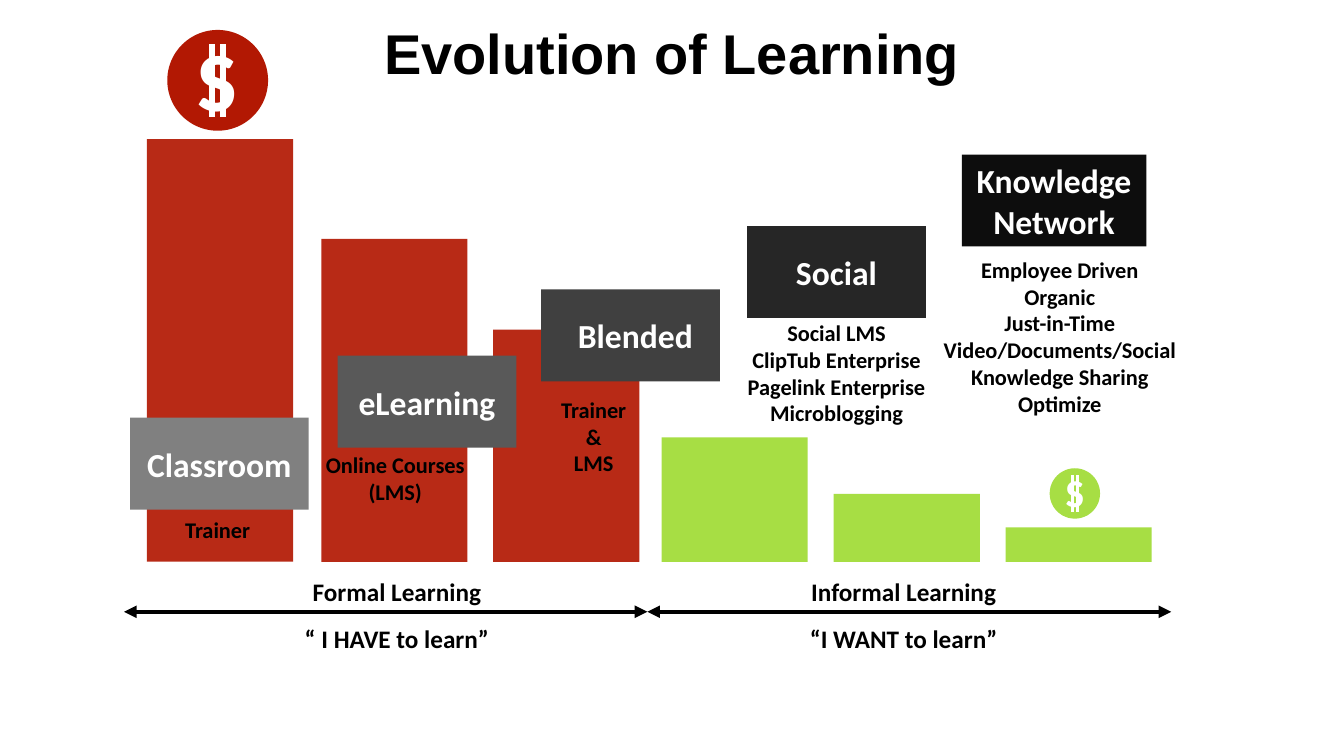
from dataclasses import dataclass

from lxml import etree
from pptx import Presentation
from pptx.dml.color import RGBColor
from pptx.enum.shapes import MSO_CONNECTOR, MSO_SHAPE
from pptx.enum.text import MSO_ANCHOR, PP_ALIGN
from pptx.oxml.ns import qn
from pptx.util import Pt

RECTANGLE, OVAL = MSO_SHAPE.RECTANGLE, MSO_SHAPE.OVAL
STRAIGHT = MSO_CONNECTOR.STRAIGHT
CENTER, MIDDLE = PP_ALIGN.CENTER, MSO_ANCHOR.MIDDLE


@dataclass(frozen=True)
class Theme:
    heading_font: str = "Arial"
    body_font: str = "Calibri"
    black: str = "000000"
    white: str = "FFFFFF"
    red: str = "B21803"
    green: str = "A7DE44"
    grays: tuple = ("808080", "595959", "404040", "262626", "0D0D0D")
    title_size: int = 40
    label_size: int = 24
    axis_size: int = 18
    detail_size: int = 16


class SlideBuilder:
    def __init__(self, slide, theme):
        self.slide = slide
        self.theme = theme

    def set_text(self, shape, lines, size, color, font=None):
        frame = shape.text_frame
        frame.text = "\n".join(lines)
        for paragraph in frame.paragraphs:
            paragraph.alignment = CENTER
            paragraph.font.name = font or self.theme.body_font
            paragraph.font.size = Pt(size)
            paragraph.font.bold = True
            paragraph.font.color.rgb = RGBColor.from_string(color)

    def text(self, left, top, width, height, lines, size, font=None):
        box = self.slide.shapes.add_textbox(Pt(left), Pt(top), Pt(width), Pt(height))
        box.text_frame.word_wrap = True
        self.set_text(box, lines, size, self.theme.black, font)

    def block(self, left, top, width, height, color, kind=RECTANGLE, opacity=100):
        shape = self.slide.shapes.add_shape(kind, Pt(left), Pt(top), Pt(width), Pt(height))
        shape.shadow.inherit = False
        shape.line.fill.background()
        shape.fill.solid()
        shape.fill.fore_color.rgb = RGBColor.from_string(color)
        if opacity < 100:
            color_element = shape._element.spPr.find(".//" + qn("a:srgbClr"))
            etree.SubElement(color_element, qn("a:alpha"), val=str(opacity * 1000))
        return shape

    def label(self, left, top, width, height, color, name, indent=0):
        shape = self.block(left, top, width, height, color)
        frame = shape.text_frame
        frame.word_wrap = True
        frame.vertical_anchor = MIDDLE
        frame.margin_left, frame.margin_right = Pt(indent), 0
        self.set_text(shape, [name], self.theme.label_size, self.theme.white)

    def line(self, x1, y1, x2, y2, color, weight, arrows=False):
        connector = self.slide.shapes.add_connector(STRAIGHT, Pt(x1), Pt(y1), Pt(x2), Pt(y2))
        connector.line.color.rgb = RGBColor.from_string(color)
        connector.line.width = Pt(weight)
        properties = connector._element.spPr
        if arrows:
            for end in ("a:headEnd", "a:tailEnd"):
                etree.SubElement(properties.find(qn("a:ln")), qn(end), type="triangle")
        etree.SubElement(properties, qn("a:effectLst"))

    def coin(self, x, y, diameter, color, size):
        shape = self.block(x - diameter / 2, y - diameter / 2, diameter, diameter, color, OVAL)
        frame = shape.text_frame
        frame.word_wrap = False
        frame.vertical_anchor = MIDDLE
        frame.margin_left = frame.margin_right = frame.margin_top = 0
        frame.margin_bottom = Pt(diameter / 20)
        self.set_text(shape, ["S"], size, self.theme.white)
        # Two strokes turn the letter into a dollar sign
        reach = 0.36 * diameter
        for offset in (-diameter / 18, diameter / 18):
            self.line(x + offset, y - reach, x + offset, y + reach,
                      self.theme.white, diameter / 16)


def main():
    presentation = Presentation()
    presentation.slide_width, presentation.slide_height = Pt(960), Pt(540)
    theme = Theme()
    slide = presentation.slides.add_slide(presentation.slide_layouts[6])
    builder = SlideBuilder(slide, theme)

    # Title
    builder.text(255.6, 10, 448.6, 55.4, ["Evolution of Learning"],
                 theme.title_size, theme.heading_font)

    # Learning axis: arrow, caption and motto for each half
    axis_y = 437
    for start, end, middle, caption, motto in (
        (88.6, 462.4, 283.5, "Formal Learning", "“ I HAVE to learn”"),
        (462.4, 836.6, 645.5, "Informal Learning", "“I WANT to learn”"),
    ):
        builder.line(start, axis_y, end, axis_y, theme.black, 3, arrows=True)
        for top, wording in ((axis_y - 29, caption), (axis_y + 4.5, motto)):
            builder.text(middle - 85, top, 170, 29, [wording], theme.axis_size)

    # Cost bars on a common base
    base = 401.3
    for left, top, color, opacity in (
        (105, 99.4, theme.red, 92),
        (229.5, 170.6, theme.red, 92),
        (352.3, 235.4, theme.red, 92),
        (472.5, 312.5, theme.green, 100),
        (595.5, 352.8, theme.green, 100),
        (718.3, 376.6, theme.green, 100),
    ):
        builder.block(left, top, 104.4, base - top, color, opacity=opacity)

    # Stage labels, darker at each step
    stages = (
        (92.9, 298.4, 127.6, "Classroom", 0),
        (241.2, 254, 127.6, "eLearning", 0),
        (386.6, 206.8, 127.6, "Blended", 7),
        (533.7, 161.5, 127.6, "Social", 0),
        (687, 110.4, 131.8, "Knowledge Network", 0),
    )
    for (left, top, width, name, indent), color in zip(stages, theme.grays):
        builder.label(left, top, width, 65.7, color, name, indent)

    # Stage details
    for left, top, width, lines in (
        (116.6, 365, 77.8, ["Trainer"]),
        (219, 319, 126.7, ["Online Courses", "(LMS)"]),
        (385.2, 279.2, 77.8, ["Trainer", "&", "LMS"]),
        (511.2, 224.3, 172.8, ["Social LMS", "ClipTub Enterprise",
                               "Pagelink Enterprise", "Microblogging"]),
        (642.2, 179.2, 229.7, ["Employee Driven", "Organic", "Just-in-Time",
                               "Video/Documents/Social", "Knowledge Sharing", "Optimize"]),
    ):
        builder.text(left, top, width, 7.2 + 19.4 * len(lines), lines, theme.detail_size)

    # Cost coins: high at the start, low at the end
    builder.coin(767.8, 352.5, 36, theme.green, 28)
    builder.coin(155.5, 57.4, 72, theme.red, 60)

    presentation.save("out.pptx")


if __name__ == "__main__":
    main()
